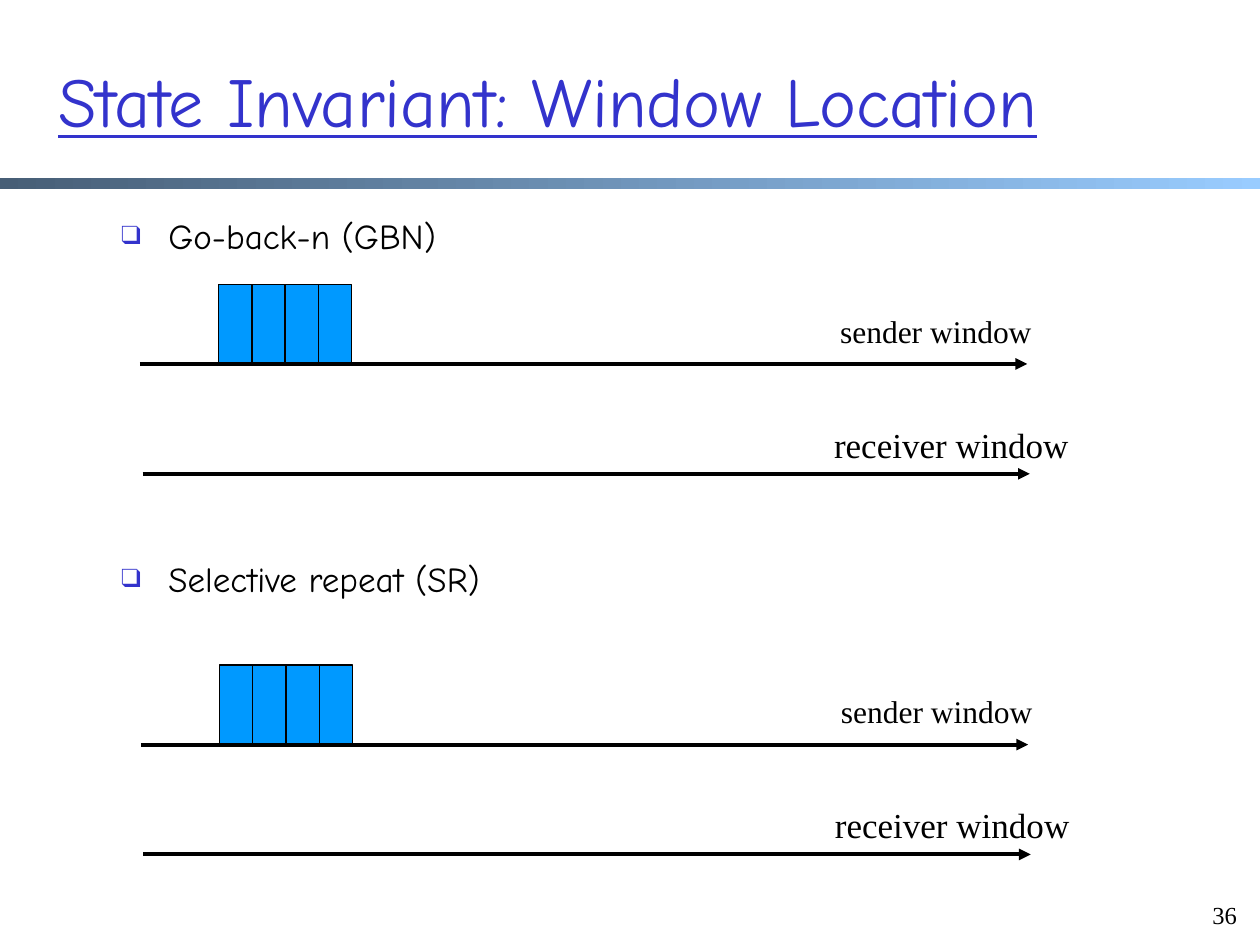
import pptx
import pptx.util
import pptx.dml.color
import pptx.enum.shapes
import pptx.enum.text
import pptx.oxml
import pptx.oxml.ns
from dataclasses import dataclass

Pt = pptx.util.Pt
ALIGN = pptx.enum.text.PP_ALIGN
ANCHOR = pptx.enum.text.MSO_ANCHOR
FIT = pptx.enum.text.MSO_AUTO_SIZE
RECT = pptx.enum.shapes.MSO_SHAPE.RECTANGLE


@dataclass(frozen=True)
class Theme:
    head: str = "Comic Neue"
    label: str = "Times New Roman"
    ink: str = "000000"
    blue: str = "3333CC"
    cell: str = "0099FF"
    dark: str = "475E76"
    light: str = "99CCFF"
    title: float = 40
    list: float = 20
    small: float = 18
    large: float = 20
    page: float = 14


THEME = Theme()


def color(code):
    return pptx.dml.color.RGBColor.from_string(code)


def element(tag, **attrs):
    node = pptx.oxml.parse_xml(f"<a:{tag} {pptx.oxml.ns.nsdecls('a')}/>")
    for key, value in attrs.items():
        node.set(key, value)
    return node


def write(para, text, font=THEME.label, size=THEME.small, ink=THEME.ink,
          under=None, align=ALIGN.LEFT):
    para.alignment = align
    run = para.add_run()
    run.text = text
    run.font.name = font
    run.font.size = Pt(size)
    run.font.color.rgb = color(ink)
    run.font.underline = under


def place(shape, left, top, width, height):
    shape.left, shape.top = Pt(left), Pt(top)
    shape.width, shape.height = Pt(width), Pt(height)


def label(slide, box, text, wrap=False, anchor=ANCHOR.TOP, **style):
    frame = slide.shapes.add_textbox(*map(Pt, box)).text_frame
    frame.word_wrap = wrap
    frame.auto_size = FIT.NONE if wrap else FIT.SHAPE_TO_FIT_TEXT
    frame.vertical_anchor = anchor
    write(frame.paragraphs[0], text, **style)


def block(slide, box):
    shape = slide.shapes.add_shape(RECT, *map(Pt, box))
    shape.shadow.inherit = False
    return shape


def arrow(slide, left, top, length):
    line = slide.shapes.add_connector(
        pptx.enum.shapes.MSO_CONNECTOR.STRAIGHT,
        Pt(left), Pt(top), Pt(left + length), Pt(top))
    line.line.color.rgb = color(THEME.ink)
    line.line.width = Pt(2.25)
    line.line._get_or_add_ln().append(element("tailEnd", type="triangle"))
    line._element.spPr.append(element("effectLst"))


def header(slide, left, top, width, height):
    rule = block(slide, (left, top + 101.75, width, 6))
    rule.line.fill.background()
    rule.fill.gradient()
    rule.fill.gradient_angle = 0
    for stop, code in zip(rule.fill.gradient_stops, (THEME.dark, THEME.light)):
        stop.color.rgb = color(code)
    title = slide.shapes.title
    place(title, left + 26, top + 12, 659, height)
    frame = title.text_frame
    frame.auto_size = FIT.NONE
    frame.vertical_anchor = ANCHOR.MIDDLE
    write(frame.paragraphs[0], "State Invariant: Window Location",
          font=THEME.head, size=THEME.title, ink=THEME.blue, under=True)


def topics(slide, left, top, width, height, names, gap):
    body = slide.placeholders[1]
    place(body, left, top, width, height)
    frame = body.text_frame
    frame.auto_size = FIT.NONE
    for index, name in enumerate(names):
        para = frame.add_paragraph() if index else frame.paragraphs[0]
        props = para._p.get_or_add_pPr()
        props.set("marL", str(Pt(63)))
        props.set("indent", str(Pt(-27)))
        tint = element("buClr")
        tint.append(element("srgbClr", val=THEME.blue))
        props.extend([tint, element("buSzPct", val="75000"),
                      element("buFont", typeface=THEME.label),
                      element("buChar", char="❑")])
        para.space_before = Pt(gap if index else 0)
        write(para, name, font=THEME.head, size=THEME.list)


def windows(slide, left, top, width, height, count=4):
    step, tall = 19, 45.5
    for index in range(count):
        cell = block(slide, (left + 45 + index * step, top, step, tall))
        cell.fill.solid()
        cell.fill.fore_color.rgb = color(THEME.cell)
        cell.line.color.rgb = color(THEME.ink)
        cell.line.width = Pt(0.75)
    arrow(slide, left, top + tall, width)
    arrow(slide, left + 1.5, top + height, width)
    label(slide, (left + 393, top + 12, 124, 29), "sender window")
    label(slide, (left + 389.5, top + 75.75, 148.5, 31), "receiver window",
          size=THEME.large)


def footer(slide, left, top, width, height):
    label(slide, (left, top, width, height), "36", wrap=True,
          anchor=ANCHOR.BOTTOM, size=THEME.page, align=ALIGN.RIGHT)


def main():
    deck = pptx.Presentation()
    deck.slide_width, deck.slide_height = Pt(720), Pt(540)
    slide = deck.slides.add_slide(deck.slide_layouts[1])
    header(slide, 0, 0, 720, 90)
    topics(slide, 26, 119, 636, 235.5,
           ("Go-back-n (GBN)", "Selective repeat (SR)"), gap=172)
    for left, top in ((80, 162.5), (80.5, 380)):
        windows(slide, left, top, 507, 108.25)
    footer(slide, 681, 507, 33, 27.5)
    deck.save("out.pptx")


if __name__ == "__main__":
    main()
